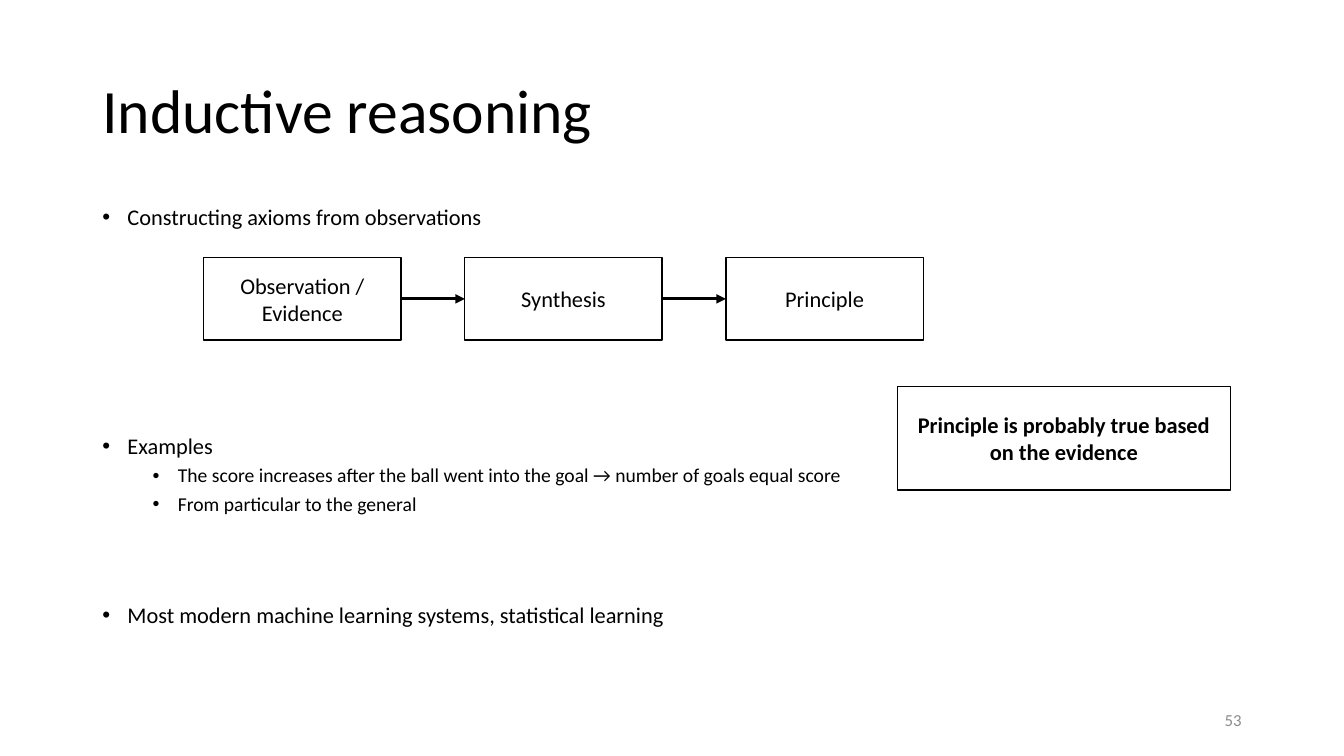
from dataclasses import dataclass

from lxml import etree
from pptx import Presentation
from pptx.dml.color import RGBColor
from pptx.enum import shapes, text
from pptx.oxml import ns
from pptx.util import Pt

FONT = "Calibri"
BLACK, WHITE, GREY = "000000", "FFFFFF", "8C8C8C"


@dataclass(frozen=True)
class Area:
    left: float
    top: float
    width: float
    height: float

    def lengths(self) -> tuple:
        return Pt(self.left), Pt(self.top), Pt(self.width), Pt(self.height)


@dataclass(frozen=True)
class Bullet:
    words: str
    space_before: float = 0
    level: int = 0


@dataclass(frozen=True)
class Box:
    words: str
    area: Area
    bold: bool = False


STEP_WIDTH, STEP_PITCH = 141, 186.5
STEPS = [
    Box(words, Area(145.5 + index * STEP_PITCH, 184, STEP_WIDTH, 59))
    for index, words in enumerate(["Observation / Evidence", "Synthesis", "Principle"])
]
CONCLUSION = Box("Principle is probably true based on the evidence",
                 Area(641, 276, 238, 74), bold=True)
BULLETS = [
    Bullet("Constructing axioms from observations"),
    Bullet("Examples", 146),
    Bullet("The score increases after the ball went into the goal → "
           "number of goals equal score", 5, 1),
    Bullet("From particular to the general", 5, 1),
    Bullet("Most modern machine learning systems, statistical learning", 63.5),
]


def colour(value: str) -> RGBColor:
    return RGBColor.from_string(value)


def set_font(paragraph, size: float, value: str = BLACK, bold: bool = False) -> None:
    font = paragraph.font
    font.name, font.size, font.bold = FONT, Pt(size), bold
    font.color.rgb = colour(value)


def add_text_frame(slide, area: Area, anchor):
    frame = slide.shapes.add_textbox(*area.lengths()).text_frame
    frame.word_wrap = True
    frame.vertical_anchor = anchor
    return frame


def add_line_of_text(slide, words: str, area: Area, size: float, value: str, alignment) -> None:
    paragraph = add_text_frame(slide, area, text.MSO_ANCHOR.MIDDLE).paragraphs[0]
    paragraph.text = words
    paragraph.alignment = alignment
    paragraph.line_spacing = 0.9
    set_font(paragraph, size, value)


def add_bullets(slide, bullets: list[Bullet], area: Area) -> None:
    frame = add_text_frame(slide, area, text.MSO_ANCHOR.TOP)
    for index, bullet in enumerate(bullets):
        paragraph = frame.add_paragraph() if index else frame.paragraphs[0]
        paragraph.text = bullet.words
        paragraph.level = bullet.level
        paragraph.line_spacing = 0.9
        paragraph.space_before = Pt(bullet.space_before)
        properties = paragraph._p.get_or_add_pPr()
        properties.set("marL", str(Pt(18 + 36 * bullet.level)))
        properties.set("indent", str(Pt(-18)))
        etree.SubElement(properties, ns.qn("a:buFont"), typeface="Arial")
        etree.SubElement(properties, ns.qn("a:buChar"), char="•")
        set_font(paragraph, 16 - 2 * bullet.level)


def add_box(slide, box: Box):
    shape = slide.shapes.add_shape(shapes.MSO_SHAPE.RECTANGLE, *box.area.lengths())
    shape.shadow.inherit = False
    shape.fill.solid()
    shape.fill.fore_color.rgb = colour(WHITE)
    shape.line.color.rgb = colour(BLACK)
    shape.line.width = Pt(1)
    frame = shape.text_frame
    frame.word_wrap = True
    frame.vertical_anchor = text.MSO_ANCHOR.MIDDLE
    paragraph = frame.paragraphs[0]
    paragraph.text = box.words
    paragraph.alignment = text.PP_ALIGN.CENTER
    set_font(paragraph, 16, bold=box.bold)
    return shape


def add_arrow(slide, source, target) -> None:
    """Join the right side of source to the left side of target."""
    arrow = slide.shapes.add_connector(shapes.MSO_CONNECTOR.STRAIGHT, 0, 0, 0, 0)
    arrow.begin_connect(source, 3)
    arrow.end_connect(target, 1)
    arrow.line.color.rgb = colour(BLACK)
    arrow.line.width = Pt(2.25)
    etree.SubElement(arrow.line._get_or_add_ln(), ns.qn("a:tailEnd"), type="triangle")
    etree.SubElement(arrow._element.spPr, ns.qn("a:effectLst"))


def main() -> None:
    presentation = Presentation()
    presentation.slide_width, presentation.slide_height = Pt(960), Pt(540)
    slide = presentation.slides.add_slide(presentation.slide_layouts[6])

    add_line_of_text(slide, "Inductive reasoning", Area(66, 28.75, 828, 104.4),
                     44, BLACK, text.PP_ALIGN.LEFT)
    add_bullets(slide, BULLETS, Area(66, 143.75, 828, 342.6))
    steps = [add_box(slide, step) for step in STEPS]
    for source, target in zip(steps, steps[1:]):
        add_arrow(slide, source, target)
    add_box(slide, CONCLUSION)
    add_line_of_text(slide, "53", Area(678, 500.5, 216, 28.75),
                     12, GREY, text.PP_ALIGN.RIGHT)

    presentation.save("out.pptx")


if __name__ == "__main__":
    main()
